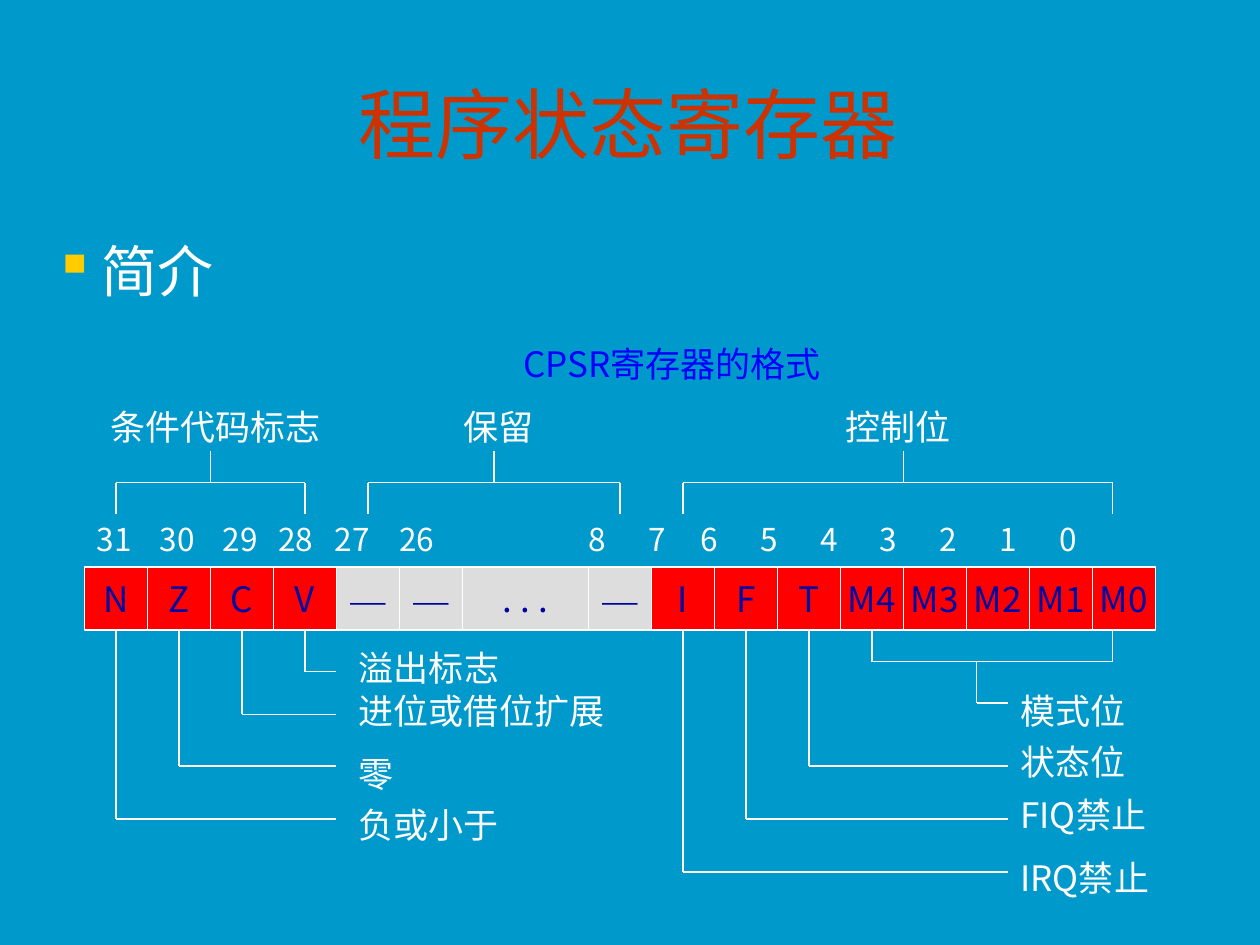
from typing import NamedTuple

from lxml import etree
from pptx import Presentation
from pptx.dml.color import RGBColor
from pptx.enum.shapes import MSO_CONNECTOR, MSO_SHAPE
from pptx.enum.text import MSO_ANCHOR, MSO_AUTO_SIZE, PP_ALIGN
from pptx.oxml.ns import qn
from pptx.util import Inches, Pt

COLORS = {
    "background": "0099CC",
    "title": "CC3300",
    "white": "FFFFFF",
    "caption": "0000FF",
    "bullet": "FFCC00",
    "flag": "FF0000",
    "reserved": "DDDDDD",
    "bit": "0000A4",
}
SANS, SERIF, HEADING = "Noto Sans CJK JP", "Times New Roman", "Arial"
REGISTER_LEFT, REGISTER_TOP, CELL = 0.67, 4.5, 0.5
REGISTER_BOTTOM = REGISTER_TOP + CELL
LABEL_HEIGHT = 0.44
BIT_NUMBERS = [31, 30, 29, 28, 27, 26, 8, 7, 6, 5, 4, 3, 2, 1, 0]
BIT_TABS = [0.5, 1, 1.44, 1.89, 2.4, 3.9, 4.38] + [4.79 + 0.475 * i for i in range(7)]


class Bit(NamedTuple):
    name: str
    color: str = "flag"
    cells: int = 1
    font: str = SANS


class Label(NamedTuple):
    text: str
    left: float
    top: float
    width: float


class Bracket(NamedTuple):
    left: float
    right: float
    stem: float


class Leader(NamedTuple):
    bit: int
    y: float
    end: float


RESERVED = Bit("—", "reserved", font=SERIF)
BITS = [
    *map(Bit, "NZCV"),
    RESERVED, RESERVED, Bit(". . .", "reserved", cells=2), RESERVED,
    *map(Bit, ["I", "F", "T", "M4", "M3", "M2", "M1", "M0"]),
]
FIELD_LABELS = [
    Label("条件代码标志", 0.75, 3.17, 1.92),
    Label("保留", 3, 3.17, 1.92),
    Label("控制位", 6.17, 3.17, 1.92),
]
MEANING_LABELS = [
    Label("溢出标志", 2.75, 5.08, 1.92),
    Label("进位或借位扩展", 2.75, 5.42, 2.33),
    Label("零", 2.75, 5.92, 2.33),
    Label("负或小于", 2.75, 6.33, 2.33),
    Label("模式位", 8, 5.42, 1.42),
    Label("状态位", 8, 5.83, 1.42),
    Label("FIQ禁止", 8, 6.25, 1.42),
    Label("IRQ禁止", 8, 6.75, 1.42),
]
BRACKETS = [Bracket(0.92, 2.42, 1.67), Bracket(2.92, 4.92, 3.92), Bracket(5.42, 8.83, 7.17)]
LEADERS = [
    Leader(3, 5.33, 2.67), Leader(2, 5.67, 2.67), Leader(1, 6.08, 2.67), Leader(0, 6.5, 2.67),
    Leader(10, 6.08, 8), Leader(9, 6.5, 8), Leader(8, 6.92, 8),
]
MODE_FIRST_BIT = 11


def rgb(name: str) -> RGBColor:
    return RGBColor.from_string(COLORS[name])


def format_runs(p, size: float, font: str, color: str) -> None:
    for r in p.runs:
        r.font.size, r.font.name = Pt(size), font
        r.font.color.rgb = rgb(color)
        etree.SubElement(r.font._element, qn("a:ea"), typeface=font)


def add_text(s, label: Label, size: float = 20, font: str = SANS, color: str = "white",
             align=PP_ALIGN.LEFT, height: float = LABEL_HEIGHT, grow: bool = True):
    sp = s.shapes.add_textbox(*map(Inches, (label.left, label.top, label.width, height)))
    tf = sp.text_frame
    tf.word_wrap = True
    tf.auto_size = MSO_AUTO_SIZE.SHAPE_TO_FIT_TEXT if grow else MSO_AUTO_SIZE.NONE
    p = tf.paragraphs[0]
    p.text, p.alignment = label.text, align
    format_runs(p, size, font, color)
    return sp


def add_bullet(p, char: str, color: str, indent: float) -> None:
    pPr = p._p.get_or_add_pPr()
    pPr.set("marL", str(Inches(indent)))
    pPr.set("indent", str(-Inches(indent)))
    buClr = etree.SubElement(pPr, qn("a:buClr"))
    etree.SubElement(buClr, qn("a:srgbClr"), val=COLORS[color])
    etree.SubElement(pPr, qn("a:buChar"), char=char)


def add_tabs(p, stops: list[float]) -> None:
    tabs = etree.SubElement(p._p.get_or_add_pPr(), qn("a:tabLst"))
    for stop in stops:
        etree.SubElement(tabs, qn("a:tab"), pos=str(Inches(stop)), algn="l")


def add_line(s, x1: float, y1: float, x2: float, y2: float):
    line = s.shapes.add_connector(MSO_CONNECTOR.STRAIGHT, *map(Inches, (x1, y1, x2, y2)))
    line.line.color.rgb, line.line.width = rgb("white"), Pt(0.75)
    etree.SubElement(line._element.spPr, qn("a:effectLst"))
    return line


def add_register(s) -> list:
    """Draw the bit cells from left to right and return them."""
    cells, left = [], REGISTER_LEFT
    for bit in BITS:
        width = bit.cells * CELL
        sp = s.shapes.add_shape(MSO_SHAPE.RECTANGLE,
                                *map(Inches, (left, REGISTER_TOP, width, CELL)))
        sp.shadow.inherit = False
        sp.fill.solid()
        sp.fill.fore_color.rgb = rgb(bit.color)
        sp.line.color.rgb, sp.line.width = rgb("white"), Pt(0.75)
        tf = sp.text_frame
        tf.word_wrap, tf.vertical_anchor = False, MSO_ANCHOR.MIDDLE
        p = tf.paragraphs[0]
        p.text, p.alignment = bit.name, PP_ALIGN.CENTER
        format_runs(p, 20, bit.font, "bit")
        cells.append(sp)
        left += width
    return cells


def add_bracket(s, b: Bracket) -> None:
    top, bar, bottom = 3.58, 3.83, 4.08
    add_line(s, b.left, bottom, b.left, bar)
    add_line(s, b.right, bottom, b.right, bar)
    add_line(s, b.left, bar, b.right, bar)
    add_line(s, b.stem, bar, b.stem, top)


def add_drop(s, cell, y: float) -> float:
    """Draw a line down from a cell's bottom and return its x."""
    x = (cell.left + cell.width / 2) / Inches(1)
    add_line(s, x, REGISTER_BOTTOM, x, y).begin_connect(cell, 2)
    return x


def add_mode_bracket(s, first_cell) -> None:
    bar, right, stem, label_y = 5.25, 8.83, 7.75, 5.58
    left = add_drop(s, first_cell, bar)
    add_line(s, right, REGISTER_BOTTOM, right, bar)
    add_line(s, left, bar, right, bar)
    add_line(s, stem, bar, stem, label_y)
    add_line(s, stem, label_y, 8, label_y)


def main() -> None:
    prs = Presentation()
    prs.slide_width, prs.slide_height = Inches(10), Inches(7.5)
    s = prs.slides.add_slide(prs.slide_layouts[6])
    s.background.fill.solid()
    s.background.fill.fore_color.rgb = rgb("background")

    title = add_text(s, Label("程序状态寄存器", 0.33, 0.25, 9.31), 44, HEADING, "title",
                     PP_ALIGN.CENTER, height=1.45, grow=False)
    title.text_frame.vertical_anchor = MSO_ANCHOR.MIDDLE
    intro = add_text(s, Label("简介", 0.33, 1.83, 9.34), 32, HEADING, height=0.81, grow=False)
    add_bullet(intro.text_frame.paragraphs[0], "▪", "bullet", 0.38)
    add_text(s, Label("CPSR寄存器的格式", 3.67, 2.67, 3.33), color="caption",
             align=PP_ALIGN.CENTER)

    numbers = add_text(s, Label("\t".join(map(str, BIT_NUMBERS)), REGISTER_LEFT, 4.08, 8.83),
                       18, height=0.7)
    add_tabs(numbers.text_frame.paragraphs[0], BIT_TABS)
    cells = add_register(s)

    for label in FIELD_LABELS:
        add_text(s, label, align=PP_ALIGN.CENTER)
    for bracket in BRACKETS:
        add_bracket(s, bracket)
    for leader in LEADERS:
        x = add_drop(s, cells[leader.bit], leader.y)
        add_line(s, x, leader.y, leader.end, leader.y)
    add_mode_bracket(s, cells[MODE_FIRST_BIT])
    for label in MEANING_LABELS:
        add_text(s, label)

    prs.save("out.pptx")


if __name__ == "__main__":
    main()
